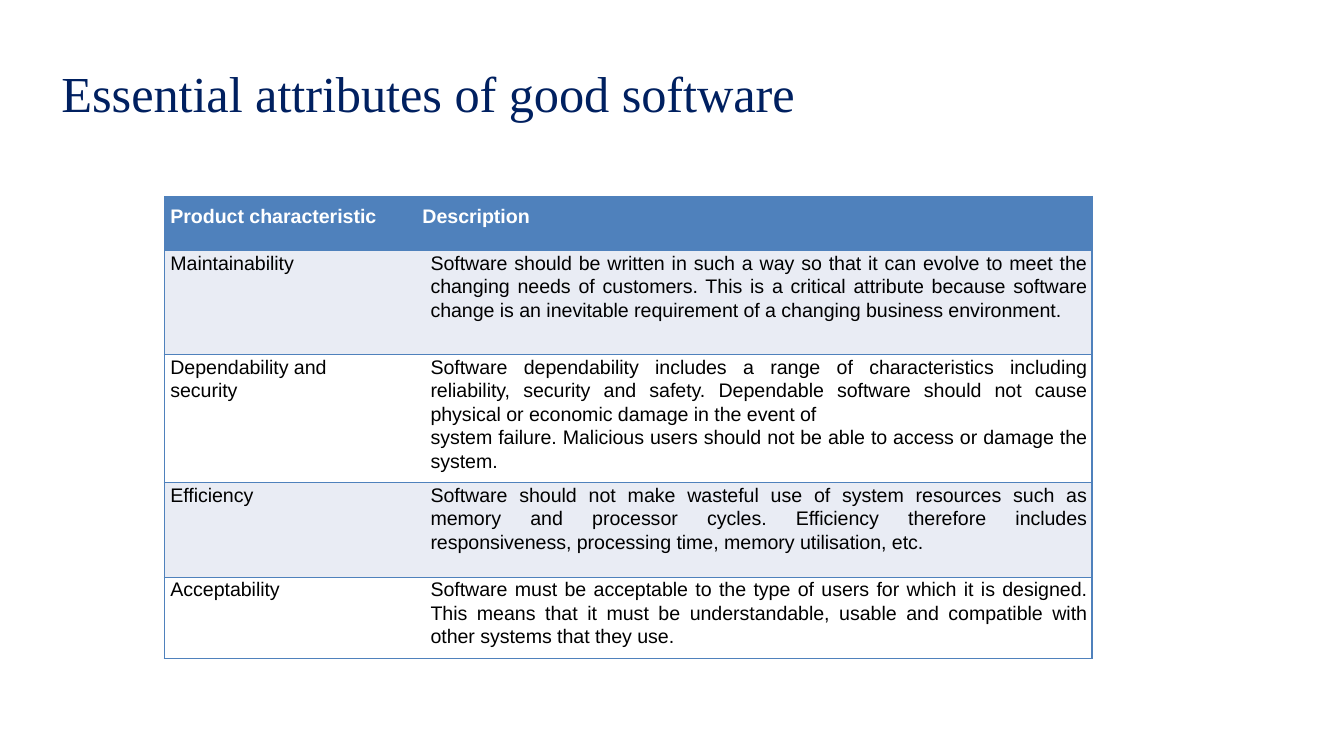
import pptx
import pptx.util
import pptx.dml.color
import pptx.enum.text
import lxml.etree
from dataclasses import dataclass

Inches, Pt = pptx.util.Inches, pptx.util.Pt
ALIGN = pptx.enum.text.PP_ALIGN
ANCHOR = pptx.enum.text.MSO_ANCHOR

TITLE = "Essential attributes of good software"
HEADINGS = "Product characteristic\tDescription"
ATTRIBUTES = [
    ("Maintainability", [
        "Software should be written in such a way so that it can evolve to meet the "
        "changing needs of customers. This is a critical attribute because software "
        "change is an inevitable requirement of a changing business environment."]),
    ("Dependability and security", [
        "Software dependability includes a range of characteristics including "
        "reliability, security and safety. Dependable software should not cause "
        "physical or economic damage in the event of",
        "system failure. Malicious users should not be able to access or damage the system."]),
    ("Efficiency", [
        "Software should not make wasteful use of system resources such as memory and "
        "processor cycles. Efficiency therefore includes responsiveness, processing time, "
        "memory utilisation, etc."]),
    ("Acceptability", [
        "Software must be acceptable to the type of users for which it is designed. "
        "This means that it must be understandable, usable and compatible with other "
        "systems that they use."]),
]
COLUMN_WIDTHS = [2.25, 6.95]
ROW_HEIGHTS = [0.54, 1.03, 1.27, 0.94, 0.8]


@dataclass(frozen=True)
class Theme:
    """Colours, fonts and type sizes of the slide."""
    navy: str = "002060"
    blue: str = "4F81BC"
    band: str = "E9ECF4"
    white: str = "FFFFFF"
    black: str = "000000"
    title_font: str = "Times New Roman"
    table_font: str = "Arial"
    title_size: float = 36
    table_size: float = 14
    leading: float = 16.8


THEME = Theme()


def rgb(value):
    """Return the colour for a hex string."""
    return pptx.dml.color.RGBColor.from_string(value)


def add_element(parent, tag, **attributes):
    """Append a DrawingML element and return it."""
    element = lxml.etree.SubElement(parent, pptx.oxml.ns.qn(tag))
    for key, value in attributes.items():
        element.set(key, str(value))
    return element


def write(frame, paragraphs, *, font=THEME.table_font, size=THEME.table_size,
          color=THEME.black, bold=False, align=ALIGN.LEFT, indent=0, tab=None,
          leading=None, margins=(0, 0, 0, 0)):
    """Fill a text frame with formatted paragraphs."""
    frame.word_wrap = True
    frame.margin_left, frame.margin_top, frame.margin_right, frame.margin_bottom = map(Inches, margins)
    for index, text in enumerate(paragraphs):
        paragraph = frame.paragraphs[0] if index == 0 else frame.add_paragraph()
        properties = paragraph._p.get_or_add_pPr()
        properties.set("marL", str(Inches(indent)))
        properties.set("indent", "0")
        if tab:
            add_element(add_element(properties, "a:tabLst"), "a:tab", pos=Inches(tab), algn="l")
        paragraph.alignment = align
        if leading:
            paragraph.line_spacing = Pt(leading)
        run = paragraph.add_run()
        run.text = text
        run.font.name, run.font.size, run.font.bold = font, Pt(size), bold
        run.font.color.rgb = rgb(color)
        run._r.get_or_add_rPr().set("spc", "-5")


def paint(cell, fill=None, sides=""):
    """Set a cell's fill and draw borders on the given sides."""
    properties = cell._tc.get_or_add_tcPr()
    for side in "LRTB":
        line = add_element(properties, f"a:ln{side}", w=Pt(1))
        if side in sides:
            add_element(add_element(line, "a:solidFill"), "a:srgbClr", val=THEME.blue)
        else:
            add_element(line, "a:noFill")
    if fill:
        cell.fill.solid()
        cell.fill.fore_color.rgb = rgb(fill)
    else:
        cell.fill.background()


def write_cell(cell, paragraphs, *, margins=(0, 0, 0, 0), **text_format):
    """Write text in a table cell with its own margins."""
    write(cell.text_frame, paragraphs, **text_format)
    cell.margin_left, cell.margin_top, cell.margin_right, cell.margin_bottom = map(Inches, margins)


def add_attribute_table(slide):
    """Add the table of product characteristics."""
    table = slide.shapes.add_table(
        len(ROW_HEIGHTS), len(COLUMN_WIDTHS), Inches(1.63), Inches(1.95),
        Inches(sum(COLUMN_WIDTHS)), Inches(sum(ROW_HEIGHTS))).table
    for column, width in zip(table.columns, COLUMN_WIDTHS):
        column.width = Inches(width)
    for row, height in zip(table.rows, ROW_HEIGHTS):
        row.height = Inches(height)

    heading = table.cell(0, 0)
    heading.merge(table.cell(0, 1))
    write_cell(heading, [HEADINGS], color=THEME.white, bold=True, indent=0.06, tab=2.39,
               margins=(0, 0.09, 0, 0))
    for cell in (heading, table.cell(0, 1)):
        paint(cell, THEME.blue, "TR")

    for number, (characteristic, description) in enumerate(ATTRIBUTES, start=1):
        fill = THEME.band if number % 2 else None
        name_cell, description_cell = table.cell(number, 0), table.cell(number, 1)
        write_cell(name_cell, [characteristic], indent=0.06, leading=THEME.leading,
                   margins=(0, 0, 0.4, 0))
        write_cell(description_cell, description, align=ALIGN.JUSTIFY, indent=0.39,
                   leading=THEME.leading, margins=(0, 0, 0.05, 0))
        horizontal = "B" if number == 1 else "TB"
        paint(name_cell, fill, "L" + horizontal)
        paint(description_cell, fill, "R" + horizontal)


def main():
    """Build the slide and save it."""
    deck = pptx.Presentation()
    deck.slide_width, deck.slide_height = Inches(13.33), Inches(7.5)
    slide = deck.slides.add_slide(deck.slide_layouts[5])
    title = slide.shapes.title
    title.left, title.top, title.width, title.height = map(Inches, (0.6, 0.61, 7.53, 0.62))
    write(title.text_frame, [TITLE], font=THEME.title_font, size=THEME.title_size,
          color=THEME.navy, indent=0.01)
    title.text_frame.vertical_anchor = ANCHOR.MIDDLE
    add_attribute_table(slide)
    deck.save("out.pptx")


if __name__ == "__main__":
    main()
